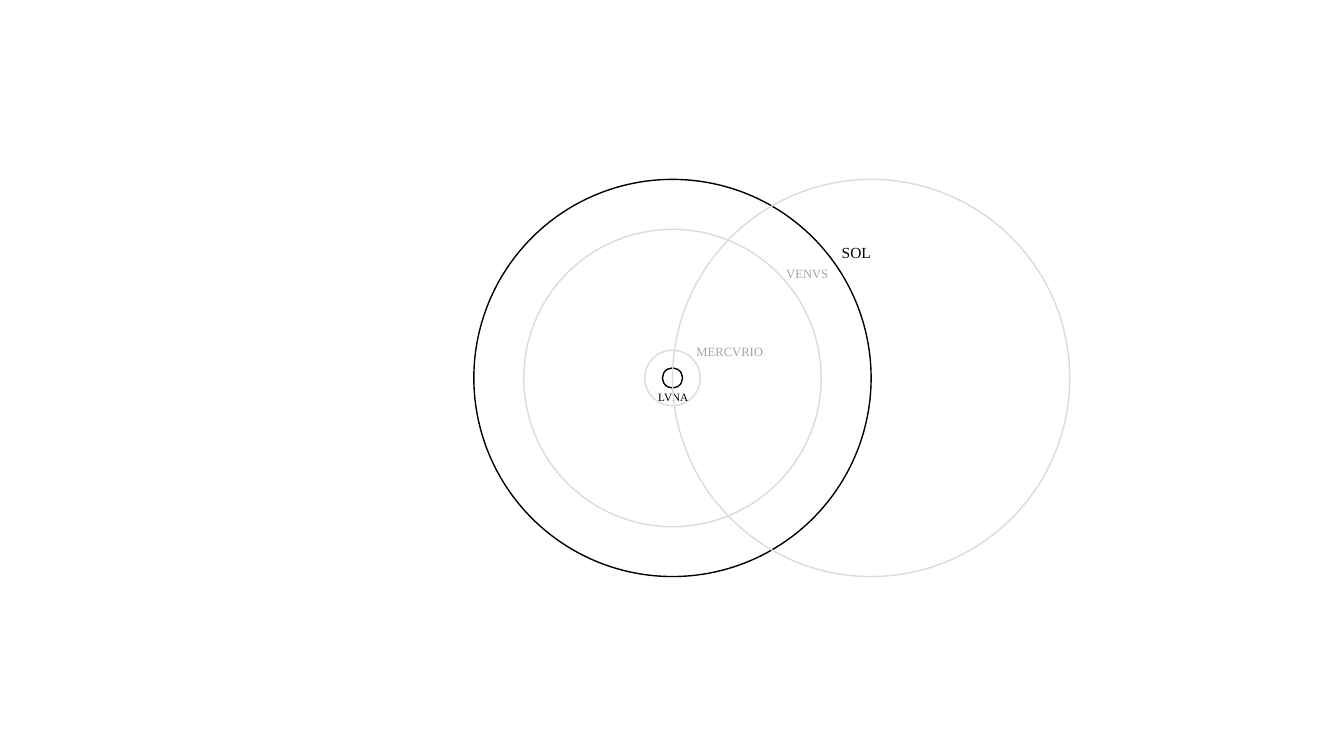
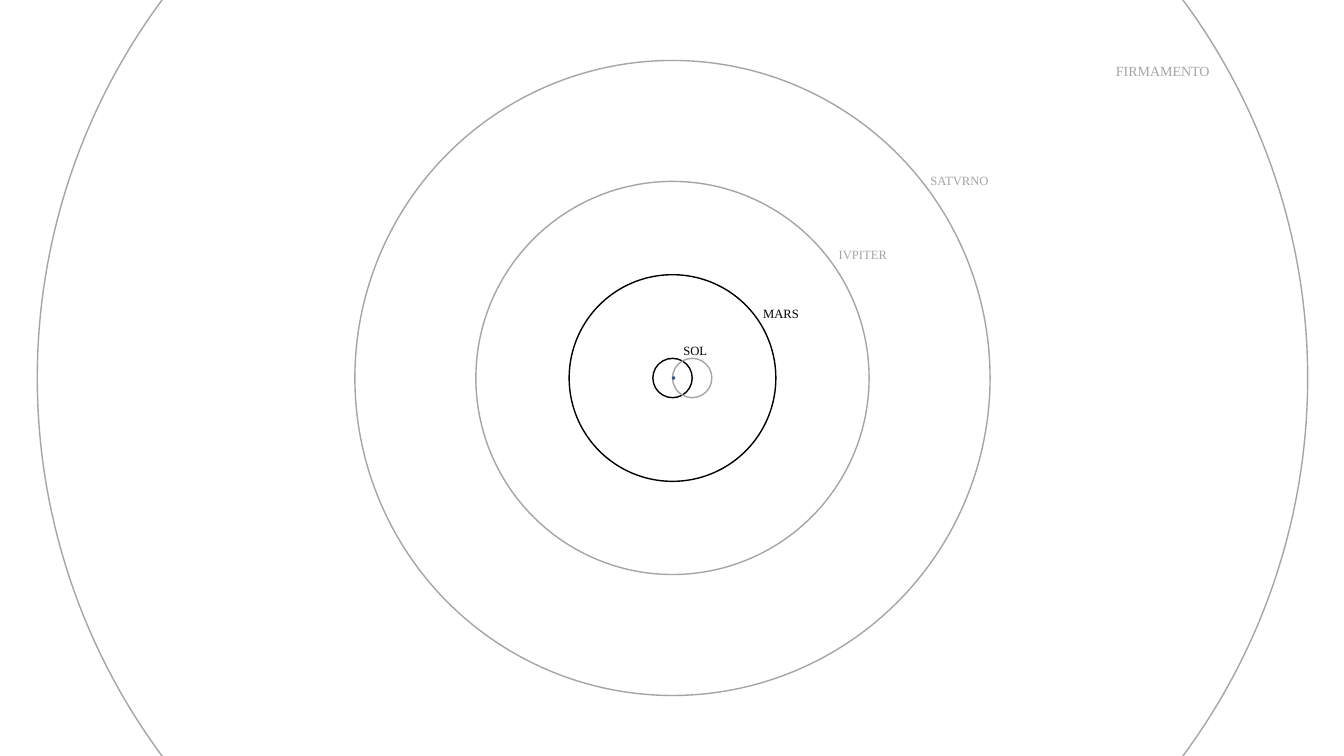
from dataclasses import dataclass

from pptx import Presentation
from pptx import util as u
from pptx.dml.color import RGBColor
from pptx.enum import shapes, text


@dataclass(frozen=True)
class Theme:
    font: str = "Times New Roman"
    black: str = "000000"
    gray: str = "A5A5A5"
    pale: str = "DBDBDB"
    earth_fill: str = "4472C4"
    earth_line: str = "325491"
    small: int = 8
    normal: int = 9
    medium: int = 10
    large: int = 11
    stroke: int = 1


THEME = Theme()
WIDTH, HEIGHT = 13.33, 7.5
CENTER_X, CENTER_Y = 6.67, 3.75
LABEL_WIDTH = 2


def add_slide(deck):
    page = deck.slides.add_slide(deck.slide_layouts[6])
    page.background.fill.solid()
    page.background.fill.fore_color.rgb = RGBColor.from_string("FFFFFF")
    return page


def add_orbit(page, diameter, color, shift=0, fill=None):
    """Circle around the Earth, its center moved right by shift."""
    radius = diameter / 2
    orbit = page.shapes.add_shape(
        shapes.MSO_SHAPE.OVAL,
        u.Inches(CENTER_X + shift - radius), u.Inches(CENTER_Y - radius),
        u.Inches(diameter), u.Inches(diameter))
    orbit.shadow.inherit = False
    if fill:
        orbit.fill.solid()
        orbit.fill.fore_color.rgb = RGBColor.from_string(fill)
    else:
        orbit.fill.background()
    orbit.line.color.rgb = RGBColor.from_string(color)
    orbit.line.width = u.Pt(THEME.stroke)


def add_label(page, name, left, top, color, size=THEME.normal):
    height = 0.1 + size / 60
    box = page.shapes.add_textbox(
        u.Inches(left), u.Inches(top), u.Inches(LABEL_WIDTH), u.Inches(height))
    frame = box.text_frame
    frame.word_wrap = True
    frame.auto_size = text.MSO_AUTO_SIZE.SHAPE_TO_FIT_TEXT
    para = frame.paragraphs[0]
    para.text = name
    para.font.name = THEME.font
    para.font.size = u.Pt(size)
    para.font.color.rgb = RGBColor.from_string(color)


def build_inner_spheres(deck):
    page = add_slide(deck)
    sun = 3.94

    # Sun, Moon, Mercury and Venus
    for diameter, color in ((sun, THEME.black), (0.2, THEME.black),
                            (0.55, THEME.pale), (2.95, THEME.pale)):
        add_orbit(page, diameter, color)

    add_label(page, "SOL", 8.25, 2.36, THEME.black, THEME.large)
    add_label(page, "LVNA", 6.43, 3.82, THEME.black, THEME.small)
    add_label(page, "VENVS", 7.7, 2.59, THEME.gray)
    add_label(page, "MERCVRIO", 6.81, 3.36, THEME.gray)

    # Circle centered on the Sun's orbit
    add_orbit(page, sun, THEME.pale, shift=sun / 2)


def build_outer_spheres(deck):
    page = add_slide(deck)
    sun = 0.39

    # Saturn, Jupiter, Sun and Mars
    for diameter, color in ((6.3, THEME.gray), (3.9, THEME.gray),
                            (sun, THEME.black), (2.05, THEME.black)):
        add_orbit(page, diameter, color)

    # Circle centered on the Sun's orbit, Earth, firmament
    add_orbit(page, sun, THEME.gray, shift=sun / 2)
    add_orbit(page, 0.02, THEME.earth_line, shift=0.01, fill=THEME.earth_fill)
    add_orbit(page, 12.6, THEME.gray)

    add_label(page, "SATVRNO", 9.13, 1.67, THEME.gray)
    add_label(page, "IVPITER", 8.22, 2.4, THEME.gray)
    add_label(page, "FIRMAMENTO", 10.97, 0.57, THEME.gray, THEME.medium)
    add_label(page, "MARS", 7.47, 2.99, THEME.black)
    add_label(page, "SOL", 6.68, 3.35, THEME.black)


def main():
    deck = Presentation()
    deck.slide_width = u.Inches(WIDTH)
    deck.slide_height = u.Inches(HEIGHT)
    build_inner_spheres(deck)
    build_outer_spheres(deck)
    deck.save("out.pptx")


main()
